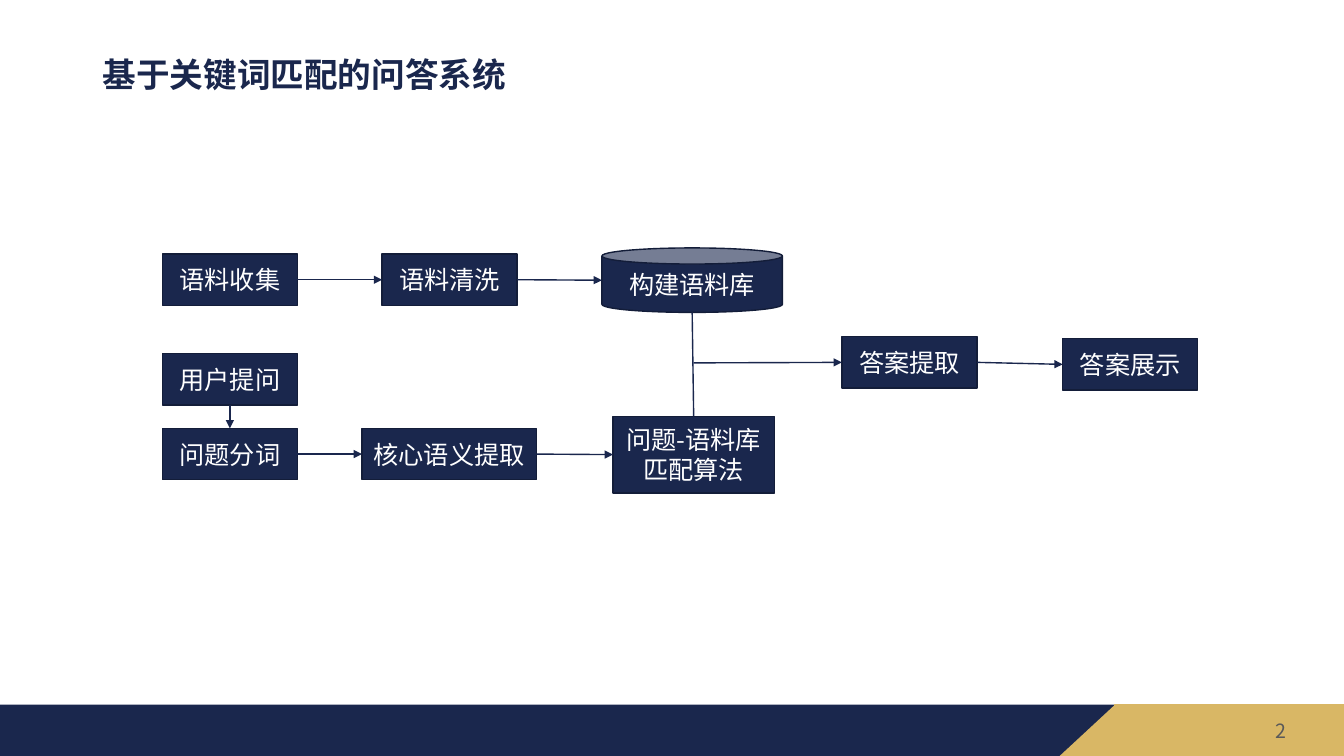
from lxml import etree
from pptx import Presentation
from pptx.dml.color import RGBColor
from pptx.enum.shapes import MSO_CONNECTOR, MSO_SHAPE as Preset
from pptx.enum.text import MSO_ANCHOR as Anchor, PP_ALIGN as Align
from pptx.oxml.ns import qn
from pptx.util import Inches, Pt

NAVY, NAVY_EDGE, GOLD, GREY, WHITE = "1A274D", "131D39", "D9B765", "595959", "FFFFFF"
CJK = "Noto Sans CJK SC"
TOP, LEFT, BOTTOM, RIGHT = range(4)

TITLE = "基于关键词匹配的问答系统"
PAGE = "2"
BOX_W, BOX_H = 1.34, 0.51

# key: (text, preset, left, top, width, height)
STEPS = {
    "collect": ("语料收集", Preset.RECTANGLE, 1.61, 2.52, BOX_W, BOX_H),
    "clean": ("语料清洗", Preset.RECTANGLE, 3.79, 2.52, BOX_W, BOX_H),
    "corpus": ("构建语料库", Preset.CAN, 5.97, 2.46, 1.79, 0.64),
    "ask": ("用户提问", Preset.RECTANGLE, 1.61, 3.51, BOX_W, BOX_H),
    "segment": ("问题分词", Preset.RECTANGLE, 1.61, 4.25, BOX_W, BOX_H),
    "semantics": ("核心语义提取", Preset.RECTANGLE, 3.59, 4.25, 1.73, BOX_H),
    "match": ("问题-语料库匹配算法", Preset.RECTANGLE, 6.08, 4.13, 1.6, 0.76),
    "extract": ("答案提取", Preset.RECTANGLE, 8.35, 3.34, BOX_W, BOX_H),
    "show": ("答案展示", Preset.RECTANGLE, 10.54, 3.36, BOX_W, BOX_H),
}

# (from step, side, to step, side, arrowhead)
FLOWS = [
    ("collect", RIGHT, "clean", LEFT, True),
    ("clean", RIGHT, "corpus", LEFT, True),
    ("ask", BOTTOM, "segment", TOP, True),
    ("segment", RIGHT, "semantics", LEFT, True),
    ("semantics", RIGHT, "match", LEFT, True),
    ("corpus", BOTTOM, "match", TOP, False),
    ("extract", RIGHT, "show", LEFT, True),
]
JUNCTION = (6.88, 3.6)

# (preset, left, top, width, height, fill, line, mirrored)
FOOTER = [
    (Preset.RECTANGLE, 0, 6.99, 11.06, 0.51, NAVY, None, False),
    (Preset.RIGHT_TRIANGLE, 10.51, 6.99, 0.55, 0.51, GOLD, None, True),
    (Preset.RECTANGLE, 11.06, 6.99, 2.27, 0.51, GOLD, GOLD, False),
]


def rgb(hex_code):
    return RGBColor.from_string(hex_code)


def add_block(slide, preset, box, fill, line=None):
    block = slide.shapes.add_shape(preset, *map(Inches, box))
    block.shadow.inherit = False
    block.fill.solid()
    block.fill.fore_color.rgb = rgb(fill)
    if line:
        block.line.color.rgb = rgb(line)
        block.line.width = Pt(1)
    else:
        block.line.fill.background()
    return block


def write(holder, text, align, color, face=CJK, **font_format):
    frame = holder.text_frame
    frame.word_wrap = True
    frame.vertical_anchor = Anchor.MIDDLE
    paragraph = frame.paragraphs[0]
    paragraph.alignment = align
    run = paragraph.add_run()
    run.text = text
    for attribute, value in {"name": face, **font_format}.items():
        setattr(run.font, attribute, value)
    run.font.color.rgb = rgb(color)
    etree.SubElement(run.font._element, qn("a:ea"), typeface=CJK)
    return paragraph


def side_point(key, side):
    """Middle of one side of a step, in inches."""
    _, _, left, top, width, height = STEPS[key]
    return {
        TOP: (left + width / 2, top),
        LEFT: (left, top + height / 2),
        BOTTOM: (left + width / 2, top + height),
        RIGHT: (left + width, top + height / 2),
    }[side]


def add_flow(slide, start, end, arrow):
    flow = slide.shapes.add_connector(
        MSO_CONNECTOR.STRAIGHT, *map(Inches, (*start, *end)))
    flow.line.color.rgb = rgb(NAVY)
    flow.line.width = Pt(1)
    if arrow:
        etree.SubElement(flow.line._get_or_add_ln(), qn("a:tailEnd"), type="triangle")
    etree.SubElement(flow._element.spPr, qn("a:effectLst"))
    return flow


def main():
    deck = Presentation()
    deck.slide_width, deck.slide_height = Inches(13.33), Inches(7.5)
    slide = deck.slides.add_slide(deck.slide_layouts[6])

    for preset, *box, fill, line, mirrored in FOOTER:
        band = add_block(slide, preset, box, fill, line)
        if mirrored:
            band._element.spPr.xfrm.set("flipH", "1")

    page = slide.shapes.add_textbox(*map(Inches, (9.86, 7.05, 3, 0.4)))
    write(page, PAGE, Align.RIGHT, GREY, size=Pt(14))
    title = slide.shapes.add_textbox(*map(Inches, (0.92, 0.35, 10.93, 0.82)))
    heading = write(title, TITLE, Align.LEFT, NAVY, "Calibri", size=Pt(24), bold=True)
    heading.line_spacing = 0.9

    blocks = {}
    for key, (text, preset, *box) in STEPS.items():
        blocks[key] = add_block(slide, preset, box, NAVY, NAVY_EDGE)
        write(blocks[key], text, Align.CENTER, WHITE, size=Pt(18))

    for source, out_side, target, in_side, arrow in FLOWS:
        flow = add_flow(slide, side_point(source, out_side),
                        side_point(target, in_side), arrow)
        if STEPS[source][1] == Preset.RECTANGLE:
            flow.begin_connect(blocks[source], out_side)
        if STEPS[target][1] == Preset.RECTANGLE:
            flow.end_connect(blocks[target], in_side)

    merged = add_flow(slide, JUNCTION, side_point("extract", LEFT), True)
    merged.end_connect(blocks["extract"], LEFT)
    deck.save("out.pptx")


if __name__ == "__main__":
    main()
